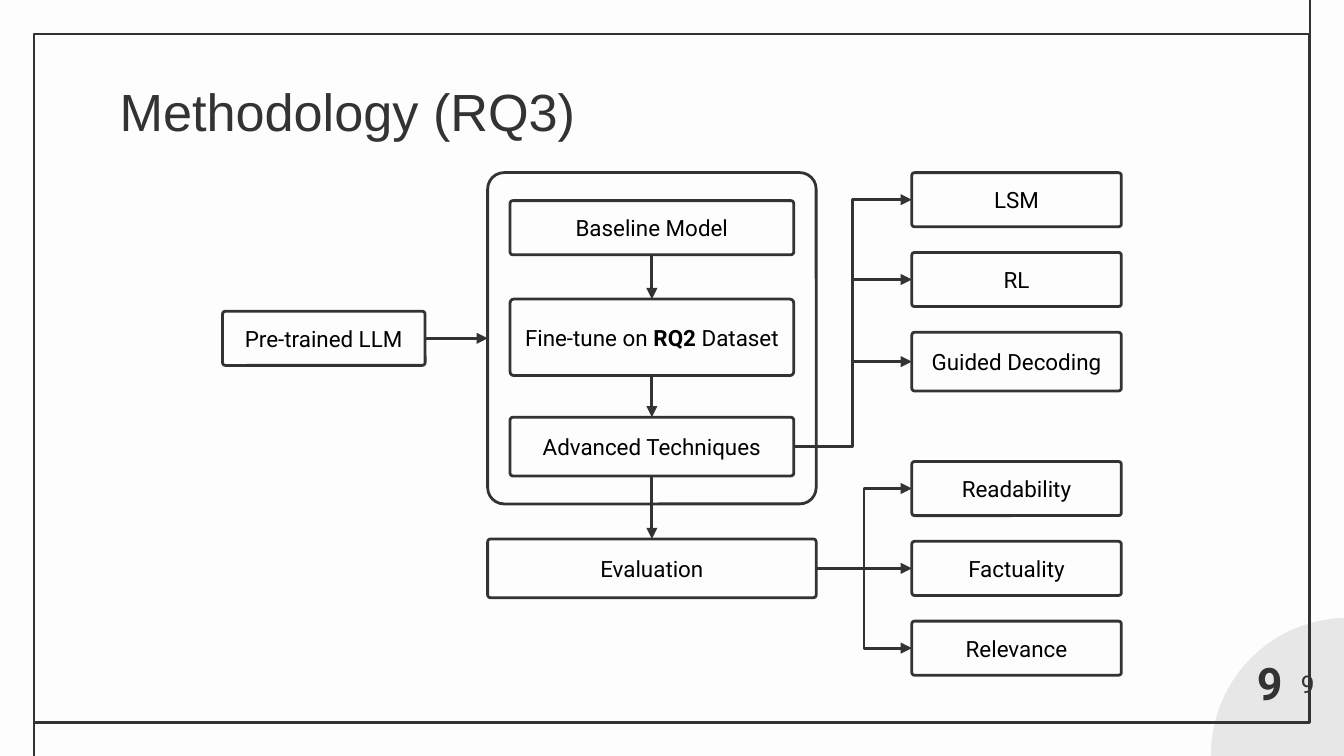
from pptx import Presentation
from pptx.dml.color import RGBColor
from pptx.enum.shapes import MSO_CONNECTOR, MSO_SHAPE
from pptx.enum.text import MSO_ANCHOR, PP_ALIGN
from pptx.oxml.ns import qn
from pptx.util import Pt
from lxml import etree

INK = RGBColor(0x33, 0x33, 0x33)
PAPER = RGBColor(0xFD, 0xFD, 0xFD)
GREY = RGBColor(0xE8, 0xE7, 0xE7)
BLACK = RGBColor(0, 0, 0)
STRAIGHT, ELBOW = MSO_CONNECTOR.STRAIGHT, MSO_CONNECTOR.ELBOW
LEFT, CENTER, RIGHT = PP_ALIGN.LEFT, PP_ALIGN.CENTER, PP_ALIGN.RIGHT
TOP, MIDDLE = MSO_ANCHOR.TOP, MSO_ANCHOR.MIDDLE
SITE_TOP, SITE_LEFT, SITE_BOTTOM, SITE_RIGHT = range(4)

prs = Presentation()
prs.slide_width, prs.slide_height = Pt(720), Pt(405)
slide = prs.slides.add_slide(prs.slide_layouts[6])
slide.background.fill.solid()
slide.background.fill.fore_color.rgb = PAPER
shapes = slide.shapes


def write(shape, runs, color, align, anchor, **font_format):
    frame = shape.text_frame
    margins = {f"margin_{side}": Pt(7.2) for side in ("left", "top", "right", "bottom")}
    frame_format = {"word_wrap": True, "vertical_anchor": anchor, **margins}
    for key, value in frame_format.items():
        setattr(frame, key, value)
    paragraph = frame.paragraphs[0]
    paragraph.alignment = align
    for text, bold in runs:
        run = paragraph.add_run()
        run.text = text
        run.font.color.rgb = color
        for key, value in {**font_format, "bold": bold}.items():
            setattr(run.font, key, value)


def draw_line(kind, start=(0, 0), end=(0, 0)):
    line = shapes.add_connector(kind, *(Pt(v) for v in (*start, *end)))
    line.line.color.rgb = INK
    line.line.width = Pt(1.5)
    etree.SubElement(line._element.spPr, qn("a:effectLst"))
    return line


# Corner disc and page frame
disc = shapes.add_shape(MSO_SHAPE.OVAL, Pt(648.75), Pt(331), Pt(147), Pt(147))
disc.shadow.inherit = False
disc.fill.solid()
disc.fill.fore_color.rgb = GREY
disc.line.fill.background()

draw_line(STRAIGHT, (701.75, 18.5), (701.75, -3.5))
draw_line(STRAIGHT, (18.25, 409.5), (18.25, 387.5))
page_frame = shapes.add_shape(MSO_SHAPE.RECTANGLE, Pt(18.25), Pt(18.25), Pt(683.5), Pt(368.75))
page_frame.shadow.inherit = False
page_frame.fill.background()
page_frame.line.color.rgb = INK
page_frame.line.width = Pt(1.5)

# Title and page numbers
for text, box, size, font, bold, align in [
    ("Methodology (RQ3)", (57, 35.25, 607, 45.25), 28, "Arial", False, LEFT),
    ("9", (668, 351.5, 43.25, 36.75), 13, "Roboto", False, RIGHT),
    ("9", (663.75, 344.25, 33, 36.75), 24, "Roboto", True, CENTER),
]:
    label = shapes.add_textbox(*(Pt(v) for v in box))
    write(label, [(text, bold)], INK, align, TOP, size=Pt(size), name=font)

# Boxes: the panel first, then the steps and the two output columns
PANEL_X, PANEL_W = 261.25, 176
STEP_X, STEP_W = 273.25, 152
OUT_X, OUT_W, OUT_PITCH = 488.5, 112.25, 42.75
BOX_H, TALL_H = 29, 31.5
boxes = [
    ("panel", [], PANEL_X, 92.5, PANEL_W, 177.5),
    ("llm", [("Pre-trained LLM", False)], 119.25, 166.75, 108.5, BOX_H),
    ("baseline", [("Baseline Model", False)], STEP_X, 107.5, STEP_W, BOX_H),
    ("finetune", [("Fine-tune on ", False), ("RQ2", True), (" Dataset", False)],
     STEP_X, 160.25, STEP_W, 41),
    ("advanced", [("Advanced Techniques", False)], STEP_X, 223.5, STEP_W, TALL_H),
    ("evaluation", [("Evaluation", False)], PANEL_X, 288.75, PANEL_W, TALL_H),
]
techniques = ["LSM", "RL", "Guided Decoding"]
metrics = ["Readability", "Factuality", "Relevance"]
for names, first_y in ((techniques, 92.5), (metrics, 247.25)):
    for i, name in enumerate(names):
        height = TALL_H if name == "Guided Decoding" else BOX_H
        boxes.append((name, [(name, False)], OUT_X, first_y + i * OUT_PITCH, OUT_W, height))

nodes = {}
for key, runs, *box in boxes:
    node = shapes.add_shape(MSO_SHAPE.ROUNDED_RECTANGLE, *(Pt(v) for v in box))
    node.adjustments[0] = 0.05
    node.shadow.inherit = False
    node.fill.solid()
    node.fill.fore_color.rgb = PAPER
    node.line.color.rgb = INK
    node.line.width = Pt(1.5)
    if runs:
        write(node, runs, BLACK, CENTER, MIDDLE, size=Pt(12), name="Roboto")
    nodes[key] = node

# Arrows glued to the boxes
across, down = (SITE_RIGHT, SITE_LEFT), (SITE_BOTTOM, SITE_TOP)
arrows = [
    ("llm", "panel", STRAIGHT, across),
    ("baseline", "finetune", STRAIGHT, down),
    ("finetune", "advanced", STRAIGHT, down),
    ("advanced", "evaluation", STRAIGHT, down),
]
arrows += [("advanced", name, ELBOW, across) for name in techniques]
arrows += [("evaluation", name, ELBOW, across) for name in metrics]
for source, target, kind, (out_site, in_site) in arrows:
    arrow = draw_line(kind)
    arrow.begin_connect(nodes[source], out_site)
    arrow.end_connect(nodes[target], in_site)
    etree.SubElement(arrow.line._get_or_add_ln(), qn("a:tailEnd"), type="triangle")

prs.save("out.pptx")
